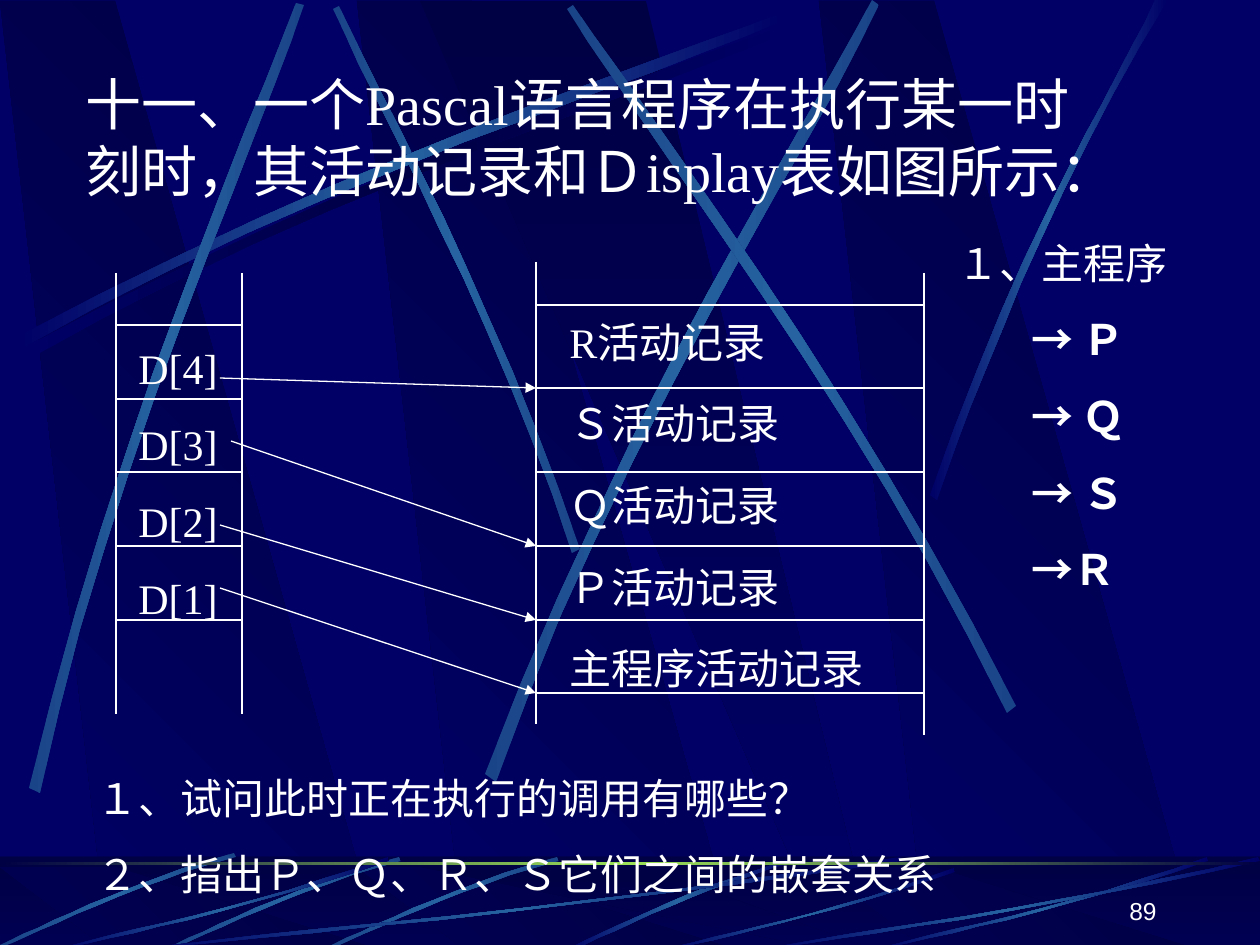
"""Build the activation record and display table slide."""
from lxml import etree
from pptx import Presentation, util as u
from pptx.dml.color import RGBColor
from pptx.enum import shapes, text
from pptx.oxml import ns

PX = 914400 / 126
WIDTH, HEIGHT = 1260, 945
NAVY, DARK, BLUE, MUTED, WHITE = "000066", "000044", "2663A0", "1A4488", "FFFFFF"
FADING, BLUNT, SHADOW = (NAVY, BLUE, NAVY), (MUTED, BLUE, MUTED), (NAVY, DARK, NAVY)

LONG_STREAK = [(17, 337), (350, 159), (652, 64), (781, 13),
               (785, 20), (657, 77), (312, 180), (21, 349)]
CROSSING_STREAKS = [
    [(580, 549), (493, 295), (381, 97), (339, 6),
     (333, 9), (372, 100), (501, 325), (572, 553)],
    [(29, 788), (117, 421), (248, 132), (296, 3),
     (304, 5), (261, 136), (108, 464), (40, 793)],
    [(485, 774), (627, 403), (804, 129), (872, 0),
     (879, 5), (818, 136), (612, 447), (496, 782)],
    [(1016, 706), (844, 369), (650, 120), (573, 5),
     (567, 9), (639, 127), (863, 410), (1007, 713)],
]
RIGHT_STREAK = [(930, 495), (1026, 218), (1119, 83), (1155, 0),
                (1168, 0), (1053, 183), (969, 406), (937, 500)]
FLOOR_STREAK = [(790, 859), (677, 893), (601, 935), (564, 950),
                (571, 951), (617, 929), (719, 882), (791, 863)]
FLOOR_THREAD = [(557, 857), (447, 888), (362, 932), (323, 949),
                (324, 951), (363, 936), (460, 886), (559, 861)]
FLOOR_SWEEP = [(777, 4), (440, 54), (134, 80), (4, 94),
               (0, 93), (129, 77), (479, 48), (774, 0)]


def px(value):
    """Turn px into EMU."""
    return u.Emu(round(value * PX))


def color(value):
    """Turn a hex string into a colour."""
    return RGBColor.from_string(value)


def shift(points, dx, dy):
    """Move points by an offset."""
    return [(x + dx, y + dy) for x, y in points]


def bezier(start, first, second, end, steps=12):
    """Sample a cubic curve."""
    points = []
    for step in range(steps + 1):
        t = step / steps
        weights = ((1 - t) ** 3, 3 * t * (1 - t) ** 2, 3 * t * t * (1 - t), t ** 3)
        points.append(tuple(
            sum(weight * point[axis] for weight, point in zip(weights, (start, first, second, end)))
            for axis in (0, 1)))
    return points


def paint(shape, colors, angle):
    """Fill a shape with evenly spaced gradient stops and no outline."""
    shape.shadow.inherit = False
    shape.line.fill.background()
    shape.fill.gradient()
    shape.fill.gradient_angle = (360 - angle) % 360
    stops = shape._element.spPr.find(".//" + ns.qn("a:gsLst"))
    for stop in list(stops):
        stops.remove(stop)
    for index, value in enumerate(colors):
        position = str(100000 * index // (len(colors) - 1))
        stop = etree.SubElement(stops, ns.qn("a:gs"), pos=position)
        etree.SubElement(stop, ns.qn("a:srgbClr"), val=value)


def add_polygon(slide, points, colors, angle):
    """Draw a closed gradient outline."""
    builder = slide.shapes.build_freeform(*points[0], scale=PX)
    builder.add_line_segments(points[1:], close=True)
    paint(builder.convert_to_shape(), colors, angle)


def add_streak(slide, points, colors=FADING):
    """Draw a light streak bounded by two curves."""
    add_polygon(slide, bezier(*points[:4]) + bezier(*points[4:]), colors, 180)


def add_band(slide, top, height, colors, angle):
    """Draw a full-width gradient band."""
    band = slide.shapes.add_shape(shapes.MSO_SHAPE.RECTANGLE, 0, px(top), px(WIDTH), px(height))
    paint(band, colors, angle)
    return band


def add_facets(slide, top, bottom):
    """Draw the row of slanted dark facets."""
    for left in (357, 0, 819):
        corners = [(108, bottom), (381, bottom), (115, top), (0, top)]
        add_polygon(slide, shift(corners, left, 0), (DARK, NAVY), 135)
    wedge = [(420, top), (829, bottom), (874, bottom), (646, top)]
    add_polygon(slide, wedge, (DARK, NAVY), 90)


def add_floor(slide):
    """Draw the lower band with its streaks."""
    add_band(slide, 857, 94, (DARK, NAVY), 90)
    add_facets(slide, 867, 950)
    veil = add_band(slide, 856, 94, (DARK, DARK), 90)
    veil.fill.solid()
    veil.fill.fore_color.rgb = color(DARK)
    tone = veil._element.spPr.find(".//" + ns.qn("a:srgbClr"))
    etree.SubElement(tone, ns.qn("a:alpha"), val="50000")
    add_streak(slide, FLOOR_STREAK)
    for dx, dy in ((0, 0), (-158, 0), (-323, -4)):
        add_streak(slide, shift(FLOOR_THREAD, dx, dy), BLUNT)
    for left, width, top in ((126, 777, 857), (53, 336, 857), (664, 291, 868),
                             (872, 336, 857), (756, 504, 857)):
        add_streak(slide, [(left + x * width / 777, top + y * (951 - top) / 94)
                           for x, y in FLOOR_SWEEP])
    add_band(slide, 862, 3, (DARK, "9CE157", DARK), 180)


def add_backdrop(slide):
    """Draw the whole decorated background."""
    slide.background.fill.solid()
    slide.background.fill.fore_color.rgb = color(NAVY)
    add_facets(slide, 1, 947)
    add_streak(slide, shift(LONG_STREAK, 8, 10), SHADOW)
    add_streak(slide, CROSSING_STREAKS[0], BLUNT)
    add_streak(slide, LONG_STREAK)
    for points in CROSSING_STREAKS[1:]:
        add_streak(slide, points, BLUNT)
    add_streak(slide, RIGHT_STREAK)
    add_floor(slide)


def add_line(slide, x1, y1, x2, y2, arrow=False):
    """Draw a thin white line, with an arrowhead if asked."""
    line = slide.shapes.add_connector(
        shapes.MSO_CONNECTOR.STRAIGHT, px(x1), px(y1), px(x2), px(y2))
    line.line.color.rgb = color(WHITE)
    line.line.width = u.Pt(0.75)
    if arrow:
        etree.SubElement(line.line._get_or_add_ln(), ns.qn("a:tailEnd"), type="triangle")
    etree.SubElement(line._element.spPr, ns.qn("a:effectLst"))


def add_stack(slide, sides, rows):
    """Draw an open-ended stack from its side lines and row lines."""
    for x, top, bottom in sides:
        add_line(slide, x, top, x, bottom)
    for y in rows:
        add_line(slide, sides[0][0], y, sides[1][0], y)


def add_text(slide, lines, left, top, width, height, size=24, font="Times New Roman",
             spacing=None, indent=0, align=None, anchor=text.MSO_ANCHOR.TOP):
    """Add a text box; indented lines after the first are bold."""
    frame = slide.shapes.add_textbox(px(left), px(top), px(width), px(height)).text_frame
    frame.word_wrap = True
    frame.vertical_anchor = anchor
    for index, words in enumerate(lines):
        paragraph = frame.paragraphs[0] if index == 0 else frame.add_paragraph()
        paragraph.alignment = align
        if spacing:
            paragraph.line_spacing = spacing
        if index:
            paragraph.space_before = u.Pt(15)
        run = paragraph.add_run()
        run.text = words
        run.font.size = u.Pt(size)
        run.font.name = font
        run.font.color.rgb = color(WHITE)
        if index and indent:
            paragraph._p.get_or_add_pPr().set("marL", str(px(indent)))
            run.font.bold = True


def main():
    """Build and save the slide."""
    presentation = Presentation()
    presentation.slide_width, presentation.slide_height = px(WIDTH), px(HEIGHT)
    slide = presentation.slides.add_slide(presentation.slide_layouts[6])
    add_backdrop(slide)
    add_text(slide, ["十一、一个Pascal语言程序在执行某一时刻时，其活动记录和Ｄisplay表如图所示："],
             73, 63, 1018, 214, size=32)
    add_stack(slide, [(116, 273, 714), (242, 273, 714)], (325, 399, 472, 546, 620))
    add_text(slide, [f"D[{level}]" for level in (4, 3, 2, 1)], 126, 336, 126, 294)
    add_stack(slide, [(536, 262, 724), (924, 273, 735)], (305, 388, 472, 546, 620, 693))
    records = ("R", "Ｓ", "Ｑ", "Ｐ", "主程序")
    add_text(slide, [name + "活动记录" for name in records], 557, 305, 357, 394, spacing=1.1)
    for x, y, target in ((220, 378, 388), (231, 441, 546), (220, 525, 620), (220, 588, 693)):
        add_line(slide, x, y, 536, target, arrow=True)
    add_text(slide, ["１、试问此时正在执行的调用有哪些？", "２、指出Ｐ、Ｑ、Ｒ、Ｓ它们之间的嵌套关系"],
             84, 766, 882, 140)
    add_text(slide, ["１、主程序", "→ Ｐ", "→ Ｑ", "→ Ｓ", "→Ｒ"], 945, 231, 284, 370, indent=74)
    add_text(slide, ["89"], 907, 869, 262, 63, size=14, font="Arial",
             align=text.PP_ALIGN.RIGHT, anchor=text.MSO_ANCHOR.BOTTOM)
    presentation.save("out.pptx")


if __name__ == "__main__":
    main()
